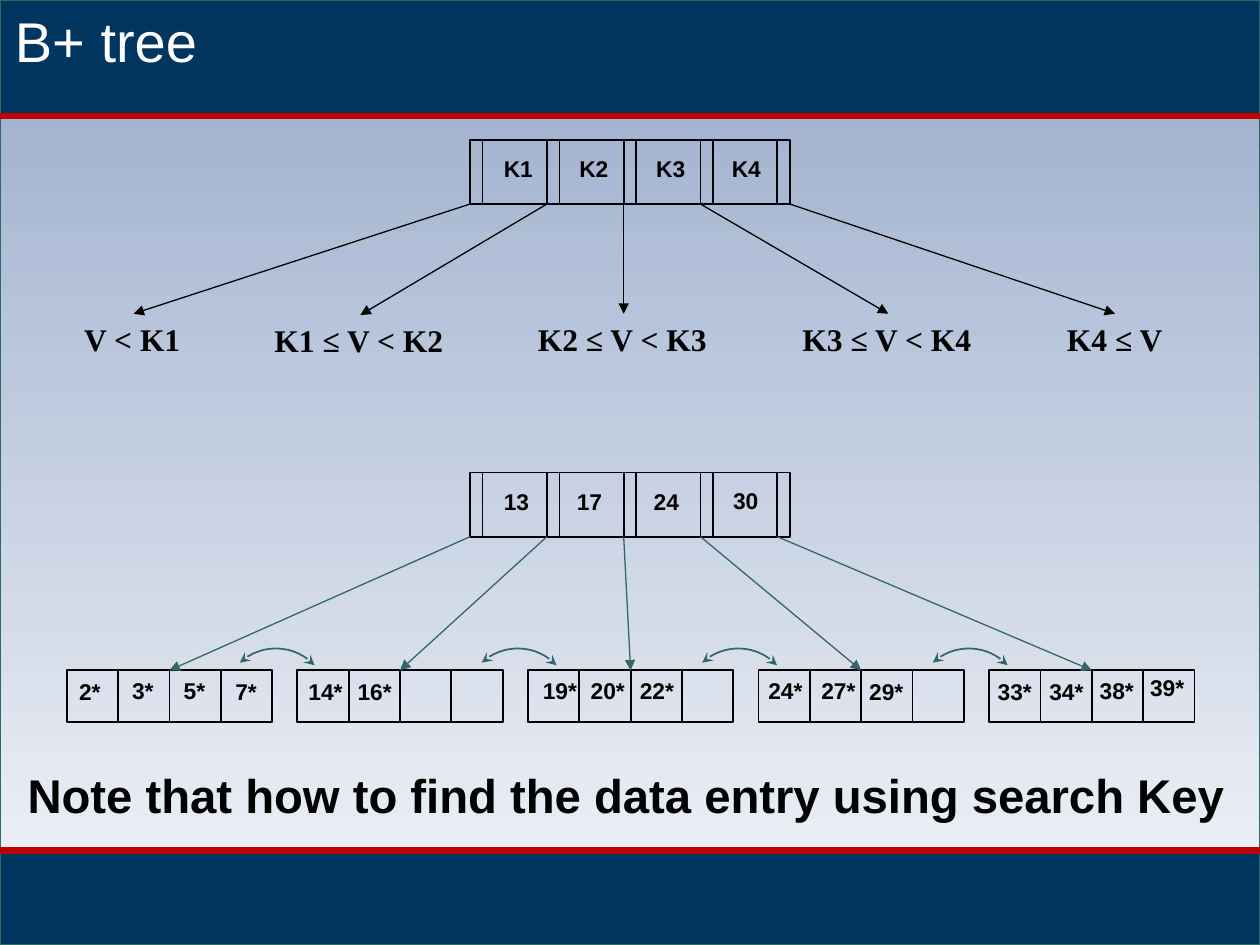
from dataclasses import dataclass
from math import cos, pi, sin

from lxml import etree
from pptx import Presentation
from pptx.dml.color import RGBColor
from pptx.enum.shapes import MSO_CONNECTOR, MSO_SHAPE
from pptx.enum.text import MSO_AUTO_SIZE
from pptx.oxml.ns import qn
from pptx.util import Inches, Pt

RECTANGLE = MSO_SHAPE.RECTANGLE
STRAIGHT = MSO_CONNECTOR.STRAIGHT
FIT_SHAPE = MSO_AUTO_SIZE.SHAPE_TO_FIT_TEXT


@dataclass(frozen=True)
class Theme:
    navy: str = "003560"
    red: str = "BC0000"
    teal: str = "336666"
    black: str = "000000"
    white: str = "FFFFFF"
    sky_top: str = "99ABCB"
    sky_bottom: str = "F3F5F9"
    sans: str = "Arial"
    serif: str = "Times New Roman"
    title_size: int = 32
    note_size: int = 27
    range_size: int = 18
    key_size: int = 13
    thin: float = 0.75
    cell_line: float = 1
    rule: float = 3.75


THEME = Theme()

# Node geometry, in inches
NODE_LEFT, NODE_HEIGHT = 3.73, 0.51
KEY_STEP, POINTER_WIDTH = 0.61, 0.1
LEAF_LEFT, LEAF_STEP, LEAF_TOP = 0.53, 1.83, 5.32
LEAF_WIDTH, LEAF_HEIGHT, LEAF_CELLS = 1.63, 0.41, 4
LINK_TOP, LINK_RADIUS, LINK_TURN = 5.06, 0.42, 317

# Each label: text, left, top
RANGE_KEYS = [("K1", 3.9), ("K2", 4.5), ("K3", 5.11), ("K4", 5.71)]
ROOT_KEYS = [("13", 3.9, 3.82), ("17", 4.48, 3.82),
             ("24", 5.09, 3.82), ("30", 5.72, 3.81)]
LEAF_ENTRIES = [
    [("2*", 0.53, 5.33), ("3*", 0.95, 5.32), ("5*", 1.36, 5.32), ("7*", 1.77, 5.33)],
    [("14*", 2.35, 5.33), ("16*", 2.74, 5.33)],
    [("19*", 4.21, 5.32), ("20*", 4.59, 5.32), ("22*", 4.98, 5.32)],
    [("24*", 6, 5.32), ("27*", 6.42, 5.32), ("29*", 6.8, 5.33)],
    [("33*", 7.82, 5.33), ("34*", 8.23, 5.33), ("38*", 8.63, 5.32), ("39*", 9.03, 5.3)],
]
LINK_LEFTS = [1.99, 3.91, 5.66, 7.49]
# Each range: text, left, top, width, arrow tip x
RANGES = [
    ("V < K1", 0.57, 2.49, 0.97, 1.06),
    ("K1 ≤ V < K2", 2.08, 2.5, 1.55, 2.86),
    ("K2 ≤ V < K3", 4.17, 2.49, 1.55, 4.95),
    ("K3 ≤ V < K4", 6.27, 2.49, 1.55, 7.05),
    ("K4 ≤ V", 8.37, 2.49, 0.97, 8.85),
]


def color(value):
    return RGBColor.from_string(value)


def style_line(shape, line_color, width, **ends):
    """Set the outline and, by headEnd or tailEnd, its arrowheads."""
    shape.line.color.rgb = color(line_color)
    shape.line.width = Pt(width)
    for end, kind in ends.items():
        etree.SubElement(shape.line._get_or_add_ln(), qn(f"a:{end}"), type=kind)


def add_rectangle(slide, left, top, width, height, line_color, line_width, fill=None):
    shape = slide.shapes.add_shape(
        RECTANGLE, Inches(left), Inches(top), Inches(width), Inches(height))
    shape.shadow.inherit = False
    if fill:
        shape.fill.solid()
        shape.fill.fore_color.rgb = color(fill)
    else:
        shape.fill.background()
    style_line(shape, line_color, line_width)
    return shape


def add_line(slide, start, end, line_color, width, **ends):
    connector = slide.shapes.add_connector(STRAIGHT, *map(Inches, start + end))
    style_line(connector, line_color, width, **ends)
    etree.SubElement(connector._element.spPr, qn("a:effectLst"))


def add_arrow(slide, start, end, line_color):
    add_line(slide, start, end, line_color, THEME.thin, tailEnd="triangle")


def add_text(slide, text, left, top, width, height, size,
             font=THEME.sans, text_color=THEME.black, bold=True, wrap=False):
    box = slide.shapes.add_textbox(
        Inches(left), Inches(top), Inches(width), Inches(height))
    frame = box.text_frame
    frame.word_wrap = wrap
    frame.auto_size = FIT_SHAPE
    run = frame.paragraphs[0].add_run()
    run.text = text
    run.font.name = font
    run.font.size = Pt(size)
    run.font.bold = bold
    run.font.color.rgb = color(text_color)


def add_key(slide, text, left, top, width):
    add_text(slide, text, left, top, width, 0.32, THEME.key_size)


def add_index_node(slide, top):
    """Draw four pointer-and-key cells with a last pointer; return pointer corners."""
    bottom = top + NODE_HEIGHT
    lefts = [NODE_LEFT + KEY_STEP * i for i in range(5)]
    for left in lefts[:-1]:
        add_rectangle(slide, left, top, KEY_STEP, NODE_HEIGHT,
                      THEME.black, THEME.cell_line)
        divider = left + POINTER_WIDTH
        add_line(slide, (divider, top), (divider, bottom),
                 THEME.black, THEME.cell_line)
    add_rectangle(slide, lefts[-1], top, POINTER_WIDTH, NODE_HEIGHT,
                  THEME.black, THEME.cell_line)
    return [(left, bottom) for left in lefts]


def add_leaf(slide, left, entries):
    cell = LEAF_WIDTH / LEAF_CELLS
    for i in range(LEAF_CELLS):
        add_rectangle(slide, left + cell * i, LEAF_TOP, cell, LEAF_HEIGHT,
                      THEME.black, THEME.cell_line)
    for text, text_left, text_top in entries:
        add_key(slide, text, text_left, text_top, 0.37 if len(text) == 2 else 0.47)


def add_sibling_link(slide, left, steps=16):
    """Draw a quarter circle, turned to arch over the gap between two leaves."""
    angles = [pi / 2 * i / steps for i in range(steps + 1)]
    points = [(Inches(left + LINK_RADIUS * sin(angle)),
               Inches(LINK_TOP + LINK_RADIUS * (1 - cos(angle)))) for angle in angles]
    builder = slide.shapes.build_freeform(*points[0])
    builder.add_line_segments(points[1:], close=False)
    link = builder.convert_to_shape()
    link.shadow.inherit = False
    link.fill.background()
    link.rotation = LINK_TURN
    style_line(link, THEME.teal, THEME.cell_line, headEnd="stealth", tailEnd="stealth")


def add_backdrop(slide):
    sky = add_rectangle(slide, 0, 0, 10, 7.5, THEME.teal, THEME.thin)
    sky.fill.gradient()
    sky.fill.gradient_angle = 270
    for stop, position, value in zip(sky.fill.gradient_stops, (0, 1),
                                     (THEME.sky_top, THEME.sky_bottom)):
        stop.position = position
        stop.color.rgb = color(value)
    for top, height in ((6.75, 0.75), (0, 0.92)):
        add_rectangle(slide, 0, top, 10, height, THEME.teal, THEME.thin, THEME.navy)
    for y in (0.92, 6.75):
        add_line(slide, (0, y), (10, y), THEME.red, THEME.rule)


def add_range_tree(slide):
    corners = add_index_node(slide, 1.11)
    for text, left in RANGE_KEYS:
        add_key(slide, text, left, 1.18, 0.44)
    corners[-1] = (corners[-1][0] + POINTER_WIDTH, corners[-1][1])
    for corner, (text, left, top, width, tip) in zip(corners, RANGES):
        add_arrow(slide, corner, (tip, top), THEME.black)
        add_text(slide, text, left, top, width, 0.4, THEME.range_size, THEME.serif)


def add_example_tree(slide):
    corners = add_index_node(slide, 3.75)
    for text, left, top in ROOT_KEYS:
        add_key(slide, text, left, top, 0.4)
    for i, (corner, entries) in enumerate(zip(corners, LEAF_ENTRIES)):
        left = LEAF_LEFT + LEAF_STEP * i
        add_leaf(slide, left, entries)
        add_arrow(slide, corner, (left + LEAF_WIDTH / 2, LEAF_TOP), THEME.teal)
    for left in LINK_LEFTS:
        add_sibling_link(slide, left)


def main():
    presentation = Presentation()
    presentation.slide_width, presentation.slide_height = Inches(10), Inches(7.5)
    slide = presentation.slides.add_slide(presentation.slide_layouts[6])
    add_backdrop(slide)
    # Title and closing note
    add_text(slide, "B+ tree", 0.02, 0, 9.98, 0.64, THEME.title_size,
             text_color=THEME.white, bold=False, wrap=True)
    add_text(slide, "Note that how to find the data entry using search Key",
             0.12, 6.03, 9.79, 0.56, THEME.note_size)
    # Key ranges above, worked example below
    add_range_tree(slide)
    add_example_tree(slide)
    presentation.save("out.pptx")


if __name__ == "__main__":
    main()
